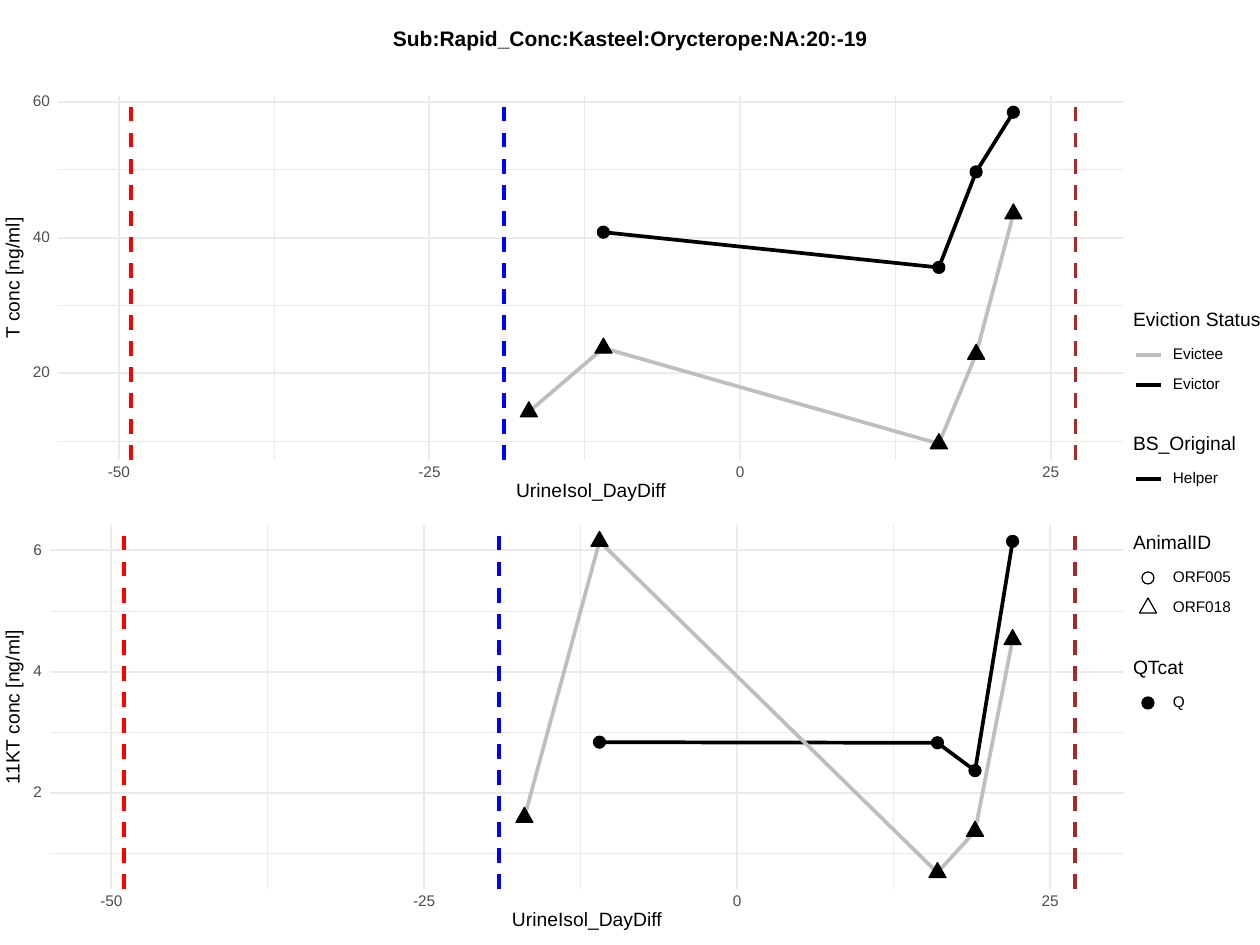
from dataclasses import dataclass

from lxml.etree import SubElement
from pptx import Presentation
from pptx.dml.color import RGBColor
from pptx.enum.dml import MSO_LINE as Dash
from pptx.enum.shapes import MSO_CONNECTOR as Connector
from pptx.enum.shapes import MSO_SHAPE as Shape
from pptx.enum.text import MSO_ANCHOR as Anchor
from pptx.enum.text import PP_ALIGN as Align
from pptx.oxml.ns import qn
from pptx.util import Pt


@dataclass(frozen=True)
class Theme:
    """Colours, type sizes and line widths."""
    font: str = "Arial"
    black: str = "000000"
    white: str = "FFFFFF"
    grid: str = "EBEBEB"
    tick: str = "4D4D4D"
    evictee: str = "BEBEBE"
    start: str = "FF0000"
    eviction: str = "0000FF"
    end: str = "A52A2A"
    title: float = 12
    heading: float = 11
    label: float = 8.8
    thick: float = 2.13
    major: float = 1.07
    outline: float = 0.71
    minor: float = 0.53


THEME = Theme()
X_MIN, X_MAX = -54.9, 30.9
X_MAJOR, X_MINOR = (-50, -25, 0, 25), (-37.5, -12.5, 12.5)
EVICTOR_DAYS = (-11, 16, 19, 22)
EVICTEE_DAYS = (-17,) + EVICTOR_DAYS
EVENTS = ((-49, THEME.start), (-19, THEME.eviction), (27, THEME.end))


@dataclass(frozen=True)
class Panel:
    """One plot area with its scale and readings."""
    left: int
    top: int
    right: int
    bottom: int
    title: str
    title_width: int
    y_min: float
    y_max: float
    major: tuple
    minor: tuple
    evictor: tuple
    evictee: tuple

    def x(self, day):
        """Place a day across the plot."""
        return self.left + (day - X_MIN) / (X_MAX - X_MIN) * (self.right - self.left)

    def y(self, value):
        """Place a value up the plot."""
        return self.bottom - (value - self.y_min) / (self.y_max - self.y_min) * (self.bottom - self.top)

    def points(self, days, values):
        """Place a series of readings."""
        return [(self.x(day), self.y(value)) for day, value in zip(days, values)]


PANELS = (
    Panel(58, 96, 1124, 460, "T conc [ng/ml]", 124, 7.2, 60.9, (20, 40, 60), (10, 30, 50),
          (40.8, 35.6, 49.7, 58.5), (14.3, 23.7, 9.6, 22.8, 43.5)),
    Panel(50, 525, 1124, 889, "11KT conc [ng/ml]", 158, 0.42, 6.42, (2, 4, 6), (1, 3, 5),
          (2.84, 2.83, 2.37, 6.15), (1.6, 6.15, 0.69, 1.37, 4.53)),
)

LEGEND = (
    ("Eviction Status", 130, 321, (("Evictee", 53, "line", THEME.evictee),
                                   ("Evictor", 50, "line", THEME.black))),
    ("BS_Original", 107, 445, (("Helper", 49, "line", THEME.black),)),
    ("AnimalID", 82, 544, (("ORF005", 61, "circle", None), ("ORF018", 61, "triangle", None))),
    ("QTcat", 56, 669, (("Q", 16, "circle", THEME.black),)),
)


def px(length):
    """Turn pixels into EMU."""
    return round(length * 914400 / 126)


def rgb(colour):
    """Turn a hex string into a colour."""
    return RGBColor.from_string(colour)


def style_line(line, colour, width):
    """Set the colour and width of a line."""
    line.color.rgb = rgb(colour)
    line.width = Pt(width)


def add_text(page, text, left, middle, width, size, colour=THEME.black, align=Align.LEFT, bold=False, turn=0):
    """Add one line of text centred on a height."""
    height = round(size * 1.4)
    box = page.shapes.add_textbox(px(left), px(middle - height / 2), px(width), px(height))
    box.rotation = turn
    frame = box.text_frame
    frame.text = text
    frame.word_wrap = False
    frame.vertical_anchor = Anchor.MIDDLE
    frame.margin_left = frame.margin_right = frame.margin_top = frame.margin_bottom = 0
    para = frame.paragraphs[0]
    para.alignment = align
    para.line_spacing = Pt(size)
    font = para.runs[0].font
    font.name, font.size, font.bold = THEME.font, Pt(size), bold
    font.color.rgb = rgb(colour)


def add_centred(page, text, centre, middle, width, size, colour=THEME.black, turn=0):
    """Add one line of text centred on a point."""
    add_text(page, text, centre - width / 2, middle, width, size, colour, Align.CENTER, turn=turn)


def add_shape(page, kind, bounds, fill, line=THEME.black, width=THEME.outline):
    """Add a preset shape, hollow when there is no fill."""
    shape = page.shapes.add_shape(kind, *map(px, bounds))
    shape.shadow.inherit = False
    if fill:
        shape.fill.solid()
        shape.fill.fore_color.rgb = rgb(fill)
    else:
        shape.fill.background()
    style_line(shape.line, line, width)


def add_line(page, start, end, colour, width, dash=None):
    """Add a straight line between two points."""
    line = page.shapes.add_connector(Connector.STRAIGHT, *map(px, start + end))
    SubElement(line.element.spPr, qn("a:effectLst"))
    style_line(line.line, colour, width)
    if dash:
        line.line.dash_style = dash


def add_curve(page, points, colour):
    """Add an open line through every reading."""
    corners = [(px(x), px(y)) for x, y in points]
    builder = page.shapes.build_freeform(*corners[0])
    builder.add_line_segments(corners[1:], close=False)
    curve = builder.convert_to_shape()
    curve.shadow.inherit = False
    curve.fill.background()
    style_line(curve.line, colour, THEME.thick)


def add_circle(page, x, y, fill):
    """Add a round marker."""
    add_shape(page, Shape.OVAL, (x - 6, y - 6, 12, 12), fill)


def add_triangle(page, x, y, fill):
    """Add a triangular marker with its centroid on a point."""
    add_shape(page, Shape.ISOSCELES_TRIANGLE, (x - 8.5, y - 10, 17, 15), fill)


def add_upright(page, panel, day, *style):
    """Add a line up the plot at a day."""
    x = panel.x(day)
    add_line(page, (x, panel.bottom), (x, panel.top), *style)


def add_grid(page, panel, days, values, width):
    """Add grid lines at the given days and values."""
    for value in values:
        y = panel.y(value)
        add_line(page, (panel.left, y), (panel.right, y), THEME.grid, width)
    for day in days:
        add_upright(page, panel, day, THEME.grid, width)


def add_axes(page, panel):
    """Add tick labels and axis titles."""
    for value in panel.major:
        width = 2 + 9 * len(str(value))
        add_text(page, str(value), panel.left - 8 - width, panel.y(value), width,
                 THEME.label, THEME.tick, Align.RIGHT)
    for day in X_MAJOR:
        add_centred(page, str(day), panel.x(day), panel.bottom + 13, 2 + 9 * len(str(day)),
                    THEME.label, THEME.tick)
    add_centred(page, "UrineIsol_DayDiff", (panel.left + panel.right) / 2, panel.bottom + 32,
                153, THEME.heading)
    add_centred(page, panel.title, 14, (panel.top + panel.bottom) / 2, panel.title_width,
                THEME.heading, turn=270)


def add_panel(page, panel):
    """Add a plot with its grid, readings, events and axes."""
    add_grid(page, panel, X_MINOR, panel.minor, THEME.minor)
    add_grid(page, panel, X_MAJOR, panel.major, THEME.major)
    evictor = panel.points(EVICTOR_DAYS, panel.evictor)
    evictee = panel.points(EVICTEE_DAYS, panel.evictee)
    add_curve(page, evictor, THEME.black)
    add_curve(page, evictee, THEME.evictee)
    for x, y in evictor:
        add_circle(page, x, y, THEME.black)
    for x, y in evictee:
        add_triangle(page, x, y, THEME.black)
    for day, colour in EVENTS:
        add_upright(page, panel, day, colour, THEME.thick, Dash.DASH)
    add_axes(page, panel)


def add_legend(page):
    """Add every legend group with its keys."""
    markers = {"circle": add_circle, "triangle": add_triangle}
    for heading, width, middle, entries in LEGEND:
        add_text(page, heading, 1133, middle, width, THEME.heading)
        for row, (label, label_width, kind, colour) in enumerate(entries):
            y = middle + 34 + 30 * row
            if kind == "line":
                add_line(page, (1136, y), (1161, y), colour, THEME.thick)
            else:
                markers[kind](page, 1148, y, colour)
            add_text(page, label, 1173, y, label_width, THEME.label)


def main():
    """Build the slide and save it."""
    deck = Presentation()
    deck.slide_width, deck.slide_height = px(1260), px(945)
    page = deck.slides.add_slide(deck.slide_layouts[6])
    add_shape(page, Shape.RECTANGLE, (0, 0, 1260, 945), THEME.white, THEME.white, 0.75)
    add_text(page, "Sub:Rapid_Conc:Kasteel:Orycterope:NA:20:-19", 393, 40, 475, THEME.title, bold=True)
    for panel in PANELS:
        add_panel(page, panel)
    add_legend(page)
    deck.save("out.pptx")


if __name__ == "__main__":
    main()
